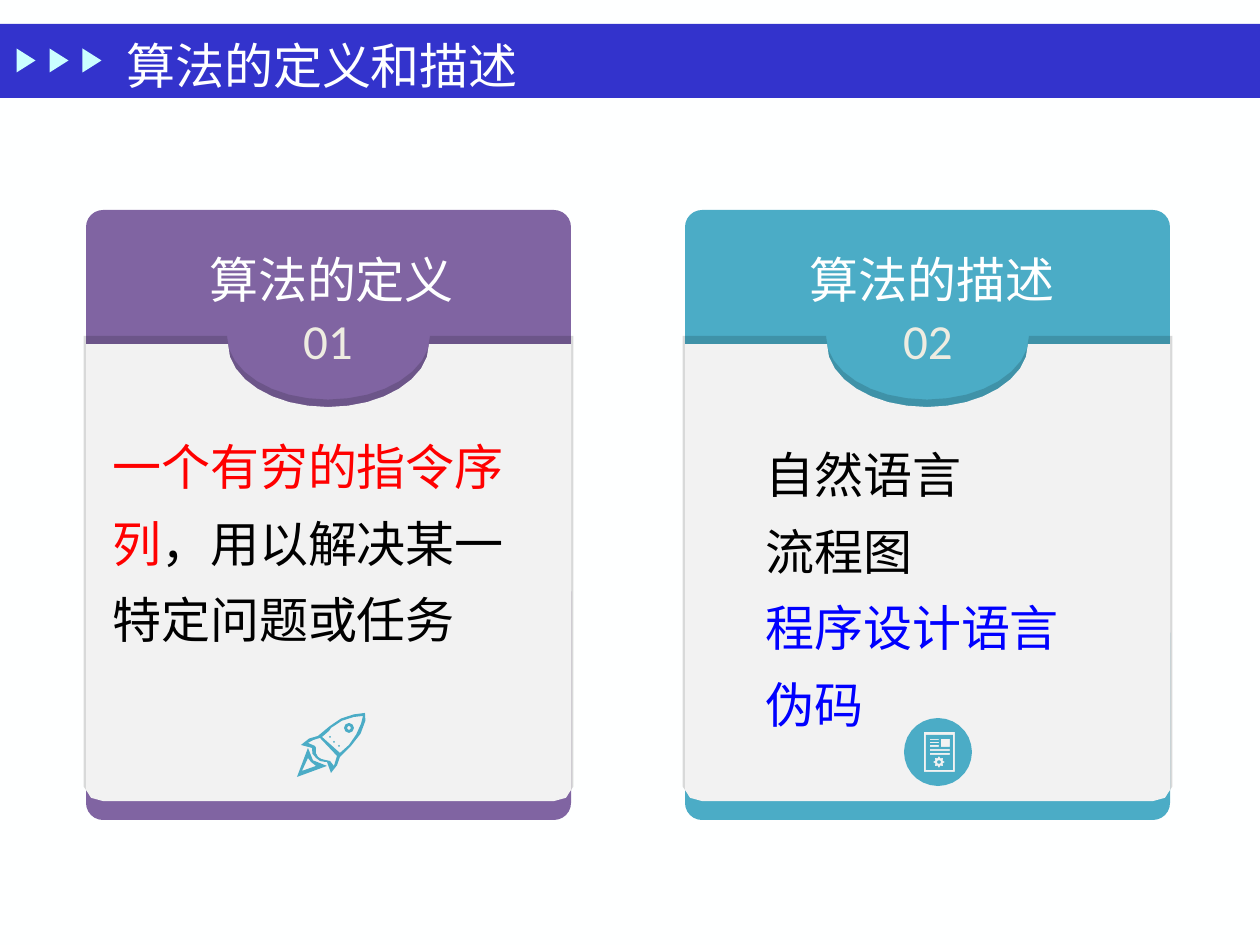
from math import ceil, cos, dist, pi, sin

from lxml import etree
from pptx import Presentation, util as u
from pptx.dml.color import RGBColor as Rgb
from pptx.enum import shapes, text
from pptx.oxml import ns

PX = 914400 / 126
FINE = 10  # outline units per px
HUE = {"page": "FEFFFF", "bar": "3333CC", "mark": "CBFFFF", "panel": "F2F2F2",
       "plum": "8064A2", "teal": "4BACC6", "num": "EEECE1",
       "red": "FF0000", "black": "000000", "blue": "0000FF"}
KIND = shapes.MSO_SHAPE

deck = Presentation()
deck.slide_width, deck.slide_height = u.Emu(9144000), u.Emu(6858000)
slide = deck.slides.add_slide(deck.slide_layouts[6])
slide.background.fill.solid()
slide.background.fill.fore_color.rgb = Rgb.from_string(HUE["page"])


def paint(shape, hue):
    shape.shadow.inherit = False
    shape.fill.solid()
    shape.fill.fore_color.rgb = Rgb.from_string(HUE[hue])
    shape.line.fill.background()
    return shape


def write(box, paras, font="Times New Roman", space=None, mid=False, wrap=True):
    frame = slide.shapes.add_textbox(*[round(v * PX) for v in box]).text_frame
    frame.word_wrap = wrap
    for i, runs in enumerate(paras):
        para = frame.add_paragraph() if i else frame.paragraphs[0]
        para.alignment = text.PP_ALIGN.CENTER if mid else text.PP_ALIGN.LEFT
        if space:
            para.line_spacing = space
        for words, hue in runs:
            run = para.add_run()
            run.text = words
            run.font.size = u.Pt(28)
            run.font.name = font
            run.font.color.rgb = Rgb.from_string(HUE[hue])


# Rings: x, y, radius, corner count
rings = {
    "rocket": [(37, 29, 1, 4), (42, 33, 1, 4), (33, 24, 1, 4),
               (52, 15, 5, 8), (52, 15, 2, 6)],
    "paper": [(34, 33, 34, 28), (35, 43, 2, 6)],
}
# Outlines: pairs are corners, sixes are cubic curves
lines = {
    "panel": [[(0, 0), (142, 0), (142, 35, 187, 63, 242, 63),
               (297, 63, 343, 35, 343, 0), (485, 0), (485, 446),
               (485, 452, 477, 457, 468, 457), (17, 457),
               (8, 457, 0, 452, 0, 446)]],
    "rocket": [
        [(68, 0), (59, 0, 42, 4, 33, 13), (21, 23),
         (16, 24, 8, 26, 4, 32), (15, 35),
         (15, 39, 15, 43, 19, 45), (21, 48, 25, 49, 28, 49), (30, 49),
         (34, 60), (39, 55, 42, 50, 43, 44),
         (54, 33), (66, 23, 71, 3, 68, 0)],
        [(52, 32), (43, 40), (25, 24), (32, 18), (34, 15),
         (43, 6, 59, 3, 66, 3), (66, 8, 60, 23, 52, 32)],
        [(40, 43), (37, 53), (33, 48), (28, 47), (25, 47, 23, 45, 21, 44),
         (19, 42, 18, 39, 19, 35), (18, 33), (11, 30),
         (14, 28, 18, 26, 23, 25)],
        [(11, 35), (0, 64), (30, 53), (19, 53, 10, 44, 11, 35)],
        [(5, 58), (11, 45), (14, 49), (19, 53)]],
    # Gear teeth alternate between two radii
    "paper": [[(35 + r * cos(a * pi / 8), 43 + r * sin(a * pi / 8))
               for a in range(16) for r in [4 if a % 2 else 6]]],
}
# Page frame, picture block and text rows: left, top, right, bottom
bars = [(20, 13, 51, 53), (22, 16, 49, 51), (37, 20, 46, 28),
        (26, 20, 35, 21), (26, 23, 35, 24), (26, 26, 35, 28),
        (26, 30, 46, 32), (26, 34, 46, 36)]
lines["paper"] += [[(l, t), (r, t), (r, b), (l, b)] for l, t, r, b in bars]


def trace(name, left, top, hue):
    loops = [[(x + r * cos(2 * pi * k / n), y + r * sin(2 * pi * k / n))
              for k in range(n)] for x, y, r, n in rings.get(name, [])]
    for steps in lines[name]:
        dots = []
        for step in steps:
            if len(step) == 2:
                dots.append(step)
                continue
            x, y = dots[-1]
            a, b, c, d, e, f = step
            cuts = max(2, ceil(dist((x, y), (e, f)) / 15))
            for k in range(1, cuts + 1):
                t, s = k / cuts, 1 - k / cuts
                dots.append(tuple(
                    s**3 * m + 3 * s * s * t * n + 3 * s * t * t * o + t**3 * z
                    for m, n, o, z in ((x, a, c, e), (y, b, d, f))))
        loops.append(dots)
    pen = None
    for dots in loops:
        spots = [((left + x) * FINE, (top + y) * FINE) for x, y in dots]
        if pen is None:
            pen = slide.shapes.build_freeform(*spots[0], scale=PX / FINE)
        else:
            pen.move_to(*spots[0])
        pen.add_line_segments(spots[1:], close=True)
    return paint(pen.convert_to_shape(), hue)


# Header bar with three arrows
parts = [(KIND.RECTANGLE, 0, 24, 1260, 74, "bar", 0)]
parts += [(KIND.ISOSCELES_TRIANGLE, 14 + 33 * i, 51, 24, 19, "mark", 90)
          for i in range(3)]
for kind, x, y, w, h, hue, turn in parts:
    shape = slide.shapes.add_shape(kind, *[round(v * PX) for v in (x, y, w, h)])
    paint(shape, hue).rotation = turn
write((114, 29, 1082, 66), [[("算法的定义和描述", "page")]])

# Two cards
cards = [
    (86, "plum", "01", 271, ("rocket", 297, 713), (170, 323), "算法的定义",
     True, (100, 413, 456, 354),
     [[("一个有穷的指令序列", "red"), ("，用以解决某一特定问题或任务", "black")]]),
    (685, "teal", "02", 871, ("paper", 904, 719), (797, 282), "算法的描述",
     False, (753, 421, 353, 329),
     [[("自然语言", "black")], [("流程图", "black")],
      [("程序设计语言", "blue")], [("伪码", "blue")]]),
]
for x, hue, num, spot, icon, (left, wide), head, mid, box, body in cards:
    card = slide.shapes.add_shape(
        KIND.ROUNDED_RECTANGLE, *[round(v * PX) for v in (x, 210, 485, 610)])
    card.adjustments[0] = 0.035
    paint(card, hue)
    panel = trace("panel", x, 344, "panel")
    # Soft edge above the panel
    glow = etree.SubElement(
        panel._element.spPr.find(ns.qn("a:effectLst")), ns.qn("a:outerShdw"),
        dist="25400", dir="16200000", sx="101000", sy="101000", algn="b",
        rotWithShape="0")
    tint = etree.SubElement(glow, ns.qn("a:srgbClr"), val=HUE["black"])
    etree.SubElement(tint, ns.qn("a:alpha"), val="14000")
    write((spot, 304, 114, 102), [[(num, "num")]], "Calibri",
          mid=True, wrap=False)
    trace(*icon, "teal")
    write((left, 226, wide, 100), [[(head, "page")]], space=1.3, mid=mid)
    write(box, body, space=1.3)

deck.save("out.pptx")
